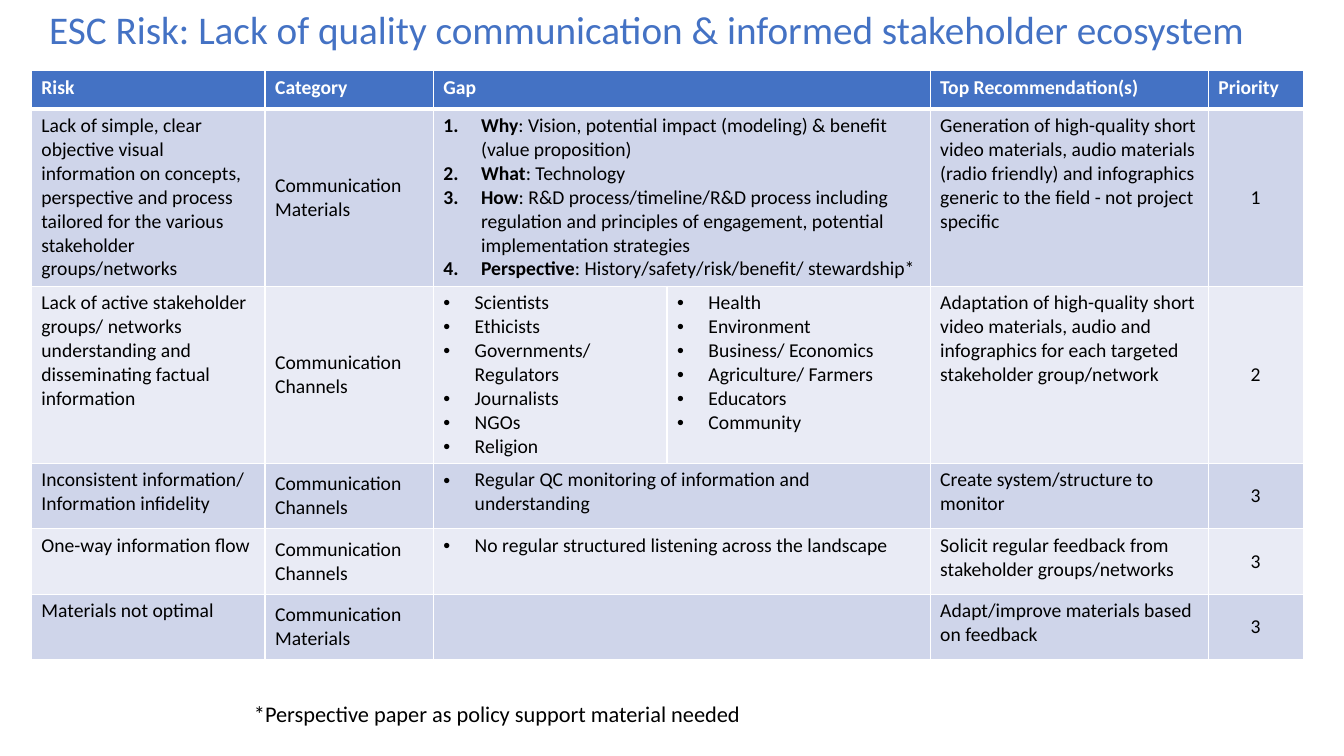
from pptx import Presentation
from pptx import util as u
from pptx.dml.color import RGBColor
from pptx.enum import text
from pptx.oxml.ns import qn
from lxml import etree

HUES = {"head": "4472C4", "dark": "CFD5EA", "light": "E9EBF5",
        "white": "FFFFFF", "black": "000000"}
MID, MAIN = 1, 5  # Category column; Priority column

HEADS = ["Risk", "Category", "Gap", None, "Top Recommendation(s)", "Priority"]
# Gap cells: tuples make numbered items, plain strings make bullets
ROWS = [
    ["Lack of simple, clear objective visual information on concepts, perspective "
     "and process tailored for the various stakeholder groups/networks",
     "Communication Materials",
     [("Why", ": Vision, potential impact (modeling) & benefit (value proposition)"),
      ("What", ": Technology"),
      ("How", ": R&D process/timeline/R&D process including regulation and principles "
       "of engagement, potential implementation strategies"),
      ("Perspective", ": History/safety/risk/benefit/ stewardship*")], None,
     "Generation of high-quality short video materials, audio materials (radio "
     "friendly) and infographics generic to the field - not project specific", "1"],
    ["Lack of active stakeholder groups/ networks understanding and disseminating "
     "factual information", "Communication Channels",
     ["Scientists", "Ethicists", "Governments/ Regulators", "Journalists", "NGOs",
      "Religion"],
     ["Health", "Environment", "Business/ Economics", "Agriculture/ Farmers",
      "Educators", "Community"],
     "Adaptation of high-quality short video materials, audio and infographics for "
     "each targeted stakeholder group/network", "2"],
    ["Inconsistent information/ Information infidelity", "Communication Channels",
     ["Regular QC monitoring of information and understanding"], None,
     "Create system/structure to monitor", "3"],
    ["One-way information flow", "Communication Channels",
     ["No regular structured listening across the landscape"], None,
     "Solicit regular feedback from stakeholder groups/networks", "3"],
    ["Materials not optimal", "Communication Materials", [], None,
     "Adapt/improve materials based on feedback", "3"],
]


class Deck:
    face = "Calibri"

    def __init__(self):
        self.prs = Presentation()
        self.prs.slide_width, self.prs.slide_height = u.Cm(33.87), u.Cm(19.05)
        self.slide = self.prs.slides.add_slide(self.prs.slide_layouts[6])

    def font(self, para, size, hue, bold=None):
        font = para.font
        font.name, font.size, font.bold = self.face, u.Pt(size), bold
        font.color.rgb = RGBColor.from_string(HUES[hue])

    def label(self, words, box, size, hue, wrap):
        frame = self.slide.shapes.add_textbox(*map(u.Cm, box)).text_frame
        frame.word_wrap = wrap
        frame.auto_size = text.MSO_AUTO_SIZE.SHAPE_TO_FIT_TEXT
        frame.text = words
        self.font(frame.paragraphs[0], size, hue)

    def bullet(self, para, count):
        props = para._p.get_or_add_pPr()
        step = u.Cm(0.95 if count else 0.79)
        props.set("marL", str(step))
        props.set("indent", str(-step))
        if count:
            etree.SubElement(props, qn("a:buAutoNum"), type="arabicPeriod")
        else:
            etree.SubElement(props, qn("a:buFont"), typeface="Arial")
            etree.SubElement(props, qn("a:buChar"), char="•")

    def edges(self, cell, top, base):
        props = cell._tc.get_or_add_tcPr()
        for side, width in zip("LRTB", (1, 1, top, base)):
            line = etree.SubElement(props, qn("a:ln" + side), w=str(u.Pt(width)))
            fill = etree.SubElement(line, qn("a:solidFill"))
            etree.SubElement(fill, qn("a:srgbClr"), val=HUES["white"])

    def cell(self, cell, body, row, col):
        self.edges(cell, 3 if row == 1 else 1, 3 if row == 0 else 1)
        cell.fill.solid()
        shade = "head" if row == 0 else "dark" if row % 2 else "light"
        cell.fill.fore_color.rgb = RGBColor.from_string(HUES[shade])
        if row and col in (MID, MAIN):
            cell.vertical_anchor = text.MSO_ANCHOR.MIDDLE
        frame = cell.text_frame
        items = body if isinstance(body, list) else [body or ""]
        for i, item in enumerate(items):
            para = frame.add_paragraph() if i else frame.paragraphs[0]
            count = isinstance(item, tuple)
            if isinstance(body, list):
                self.bullet(para, count)
            for j, part in enumerate(item if count else [item]):
                run = para.add_run()
                run.text = part
                if count:
                    run.font.bold = j == 0
            if row and col == MAIN:
                para.alignment = text.PP_ALIGN.CENTER
            self.font(para, 14, "black" if row else "white",
                      None if count else row == 0)

    def table(self, rows, box, wides, highs):
        grid = self.slide.shapes.add_table(
            len(rows), len(wides), *map(u.Cm, box)).table
        for col, wide in zip(grid.columns, wides):
            col.width = u.Cm(wide)
        for row, high in zip(grid.rows, highs):
            row.height = u.Cm(high)
        for r, row in enumerate(rows):
            for c, body in enumerate(row):
                if body is None:
                    grid.cell(r, c - 1).merge(grid.cell(r, c))
                self.cell(grid.cell(r, c), body, r, c)


def main():
    deck = Deck()
    # Risk table
    deck.table([HEADS] + ROWS, (0.79, 1.78, 32.05, 14.76),
               (5.89, 4.24, 5.89, 6.63, 7.01, 2.39),
               [0.97, 3.78] + [1.65] * 4)
    # Title and footnote
    deck.label("ESC Risk: Lack of quality communication & informed stakeholder ecosystem",
               (0.99, 0, 32.88, 1.45), 28, "head", True)
    deck.label("*Perspective paper as policy support material needed",
               (6.15, 17.53, 12.93, 0.94), 16, "black", False)
    deck.prs.save("out.pptx")


if __name__ == "__main__":
    main()
